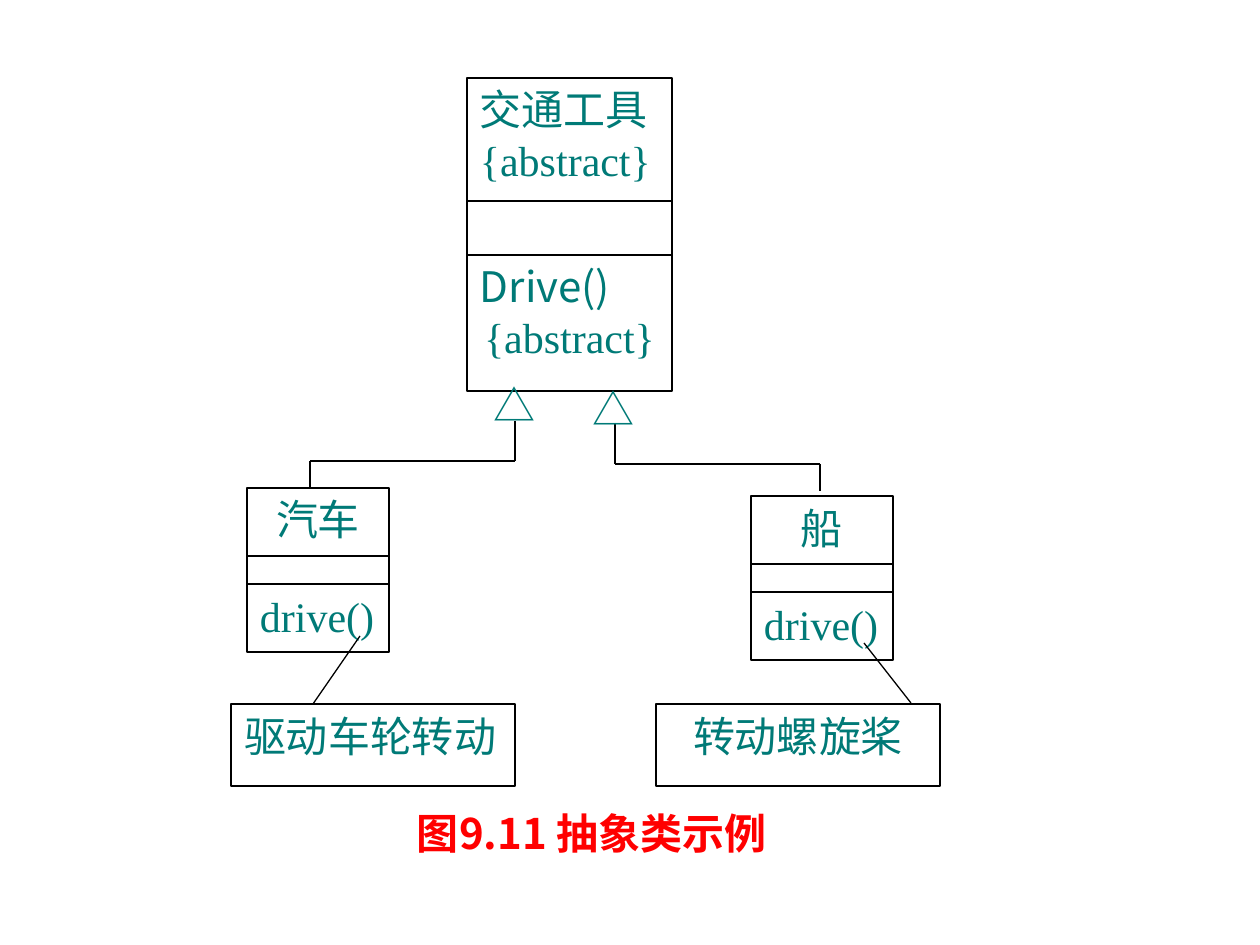
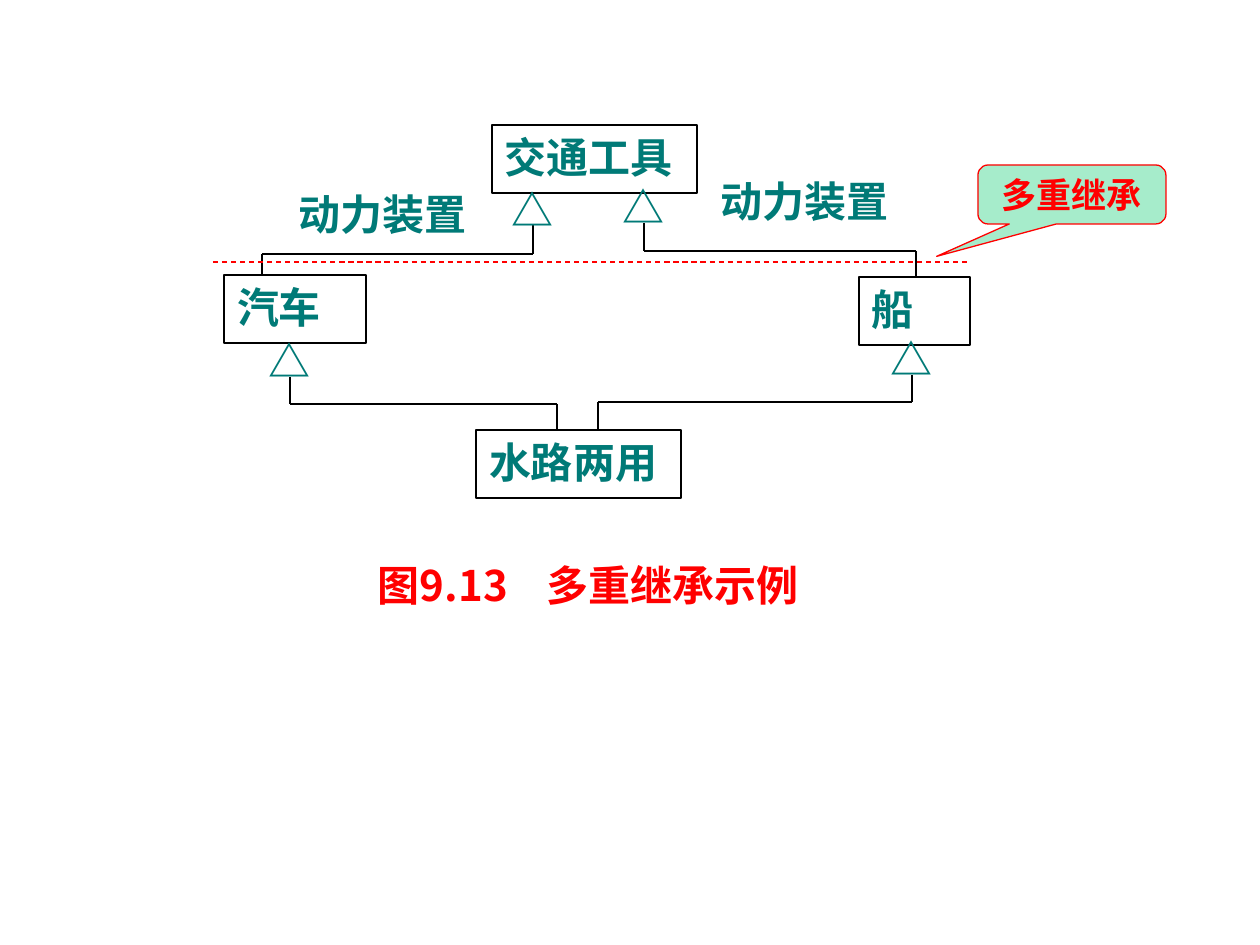
from lxml import etree
from pptx import Presentation
from pptx import util as u
from pptx.dml.color import RGBColor
from pptx.enum import dml, shapes, text
from pptx.oxml.ns import qn

# ---- Shared style ----
PX = 914400 / 126
TEAL, RED, BLACK, WHITE, MINT = "007A77", "FF0000", "000000", "FFFFFF", "A6ECCB"
HAN, SERIF, SANS = "Noto Sans CJK SC", "Times New Roman", "Arial"
JUST, MID = text.PP_ALIGN.JUSTIFY, text.PP_ALIGN.CENTER
INSET = (13, 6)

# ---- Content: lengths in px; a line of text is (wording, font, alignment) ----
# Class boxes: left, top, width, compartments as (height, lines)
# Links: x and y under the triangle, y of the bend, x and y at the subclass
ABSTRACT_CLASS = {
    "bold": False,
    "classes": [
        (467, 78, 205, [
            (123, [("交通工具", HAN, JUST), ("{abstract}", SERIF, JUST)]),
            (54, []),
            (136, [("Drive()", HAN, JUST), ("{abstract}", SERIF, MID)])]),
        (247, 488, 142, [
            (68, [("汽车", HAN, MID)]), (28, []), (68, [("drive()", SERIF, JUST)])]),
        (751, 496, 142, [
            (68, [("船", HAN, MID)]), (28, []), (68, [("drive()", SERIF, JUST)])]),
        (231, 704, 284, [(82, [("驱动车轮转动", HAN, JUST)])]),
        (656, 704, 284, [(82, [("转动螺旋桨", HAN, MID)])]),
    ],
    "links": [(515, 421, 461, 310, 487), (615, 423, 464, 820, 491)],
    "triangles": [(494, 379), (593, 383)],
    "note_lines": [(360, 636, 313, 704), (864, 643, 911, 703)],
    "labels": [],
    "caption": ("图9.11 抽象类示例", 404, 801, 410),
}
MULTIPLE_INHERITANCE = {
    "bold": True,
    "classes": [
        (492, 125, 205, [(68, [("交通工具", HAN, JUST)])]),
        (224, 275, 142, [(68, [("汽车", HAN, JUST)])]),
        (859, 277, 111, [(68, [("船", HAN, JUST)])]),
        (476, 430, 205, [(68, [("水路两用", HAN, JUST)])]),
    ],
    "links": [(533, 225, 254, 262, 275), (644, 223, 251, 916, 277),
              (290, 377, 404, 557, 430), (912, 375, 402, 598, 430)],
    "triangles": [(512, 184), (622, 181), (268, 335), (891, 333)],
    "note_lines": [],
    "labels": [("动力装置", 299, 188), ("动力装置", 721, 175)],
    "caption": ("图9.13\t多重继承示例", 365, 553, 504),
}
CAPTION_TAB = 169
DIVIDER = (213, 262, 969, 262)
CALLOUT = ("多重继承", 978, 165, 188, 59)
CALLOUT_TAIL = (-0.72, 1.05, 0.17)


def px(*lengths):
    return [u.Emu(round(n * PX)) for n in lengths]


def color(hex_string):
    return RGBColor.from_string(hex_string)


def write(shape, lines, ink=TEAL, size=24, bold=False, inset=INSET,
          anchor=text.MSO_ANCHOR.TOP):
    frame = shape.text_frame
    frame.word_wrap = True
    frame.vertical_anchor = anchor
    frame.margin_left, frame.margin_top = px(*inset)
    frame.margin_right, frame.margin_bottom = px(*inset)
    for i, (wording, font, align) in enumerate(lines):
        line = frame.add_paragraph() if i else frame.paragraphs[0]
        line.text, line.alignment = wording, align
        line.font.name, line.font.size, line.font.bold = font, u.Pt(size), bold
        line.font.color.rgb = color(ink)
        # East Asian typeface
        latin = line._p.pPr.find(qn("a:defRPr")).find(qn("a:latin"))
        east_asian = etree.Element(qn("a:ea"), typeface=HAN)
        latin.addnext(east_asian)


def outlined(slide, kind, box, fill=WHITE, edge=BLACK):
    shape = slide.shapes.add_shape(kind, *px(*box))
    shape.shadow.inherit = False
    shape.fill.solid()
    shape.fill.fore_color.rgb = color(fill)
    shape.line.color.rgb = color(edge)
    shape.line.width = u.Pt(0.75)
    return shape


def label(slide, wording, box, **style):
    shape = slide.shapes.add_textbox(*px(*box))
    write(shape, [(wording, HAN, JUST)], **style)
    return shape


def segment(slide, ends, ink=BLACK):
    line = slide.shapes.add_connector(shapes.MSO_CONNECTOR.STRAIGHT, *px(*ends))
    line.line.color.rgb = color(ink)
    line.line.width = u.Pt(0.75)
    etree.SubElement(line._element.spPr, qn("a:effectLst"))
    return line


def class_box(slide, left, top, width, compartments, bold):
    for height, lines in compartments:
        part = outlined(slide, shapes.MSO_SHAPE.RECTANGLE, (left, top, width, height))
        write(part, lines, bold=bold)
        top += height


def add_caption(slide, wording, left, top, width):
    caption = label(slide, wording, (left, top, width, 68), ink=RED, bold=True)
    if "\t" in wording:
        props = caption.text_frame.paragraphs[0]._p.pPr
        stops = etree.Element(qn("a:tabLst"))
        etree.SubElement(stops, qn("a:tab"), pos=str(px(CAPTION_TAB)[0]), algn="l")
        props.find(qn("a:defRPr")).addprevious(stops)


def draw_diagram(deck, diagram):
    slide = deck.slides.add_slide(deck.slide_layouts[6])
    bold = diagram["bold"]
    for box in diagram["classes"]:
        class_box(slide, *box, bold)
    for x1, y1, bend, x2, y2 in diagram["links"]:
        corners = [(x1, y1), (x1, bend), (x2, bend), (x2, y2)]
        for start, end in zip(corners, corners[1:]):
            segment(slide, start + end)
    for left, top in diagram["triangles"]:
        label(slide, "△", (left, top, 47, 55), bold=bold, inset=(0, 0))
    for ends in diagram["note_lines"]:
        segment(slide, ends)
    for wording, left, top in diagram["labels"]:
        label(slide, wording, (left, top, 189, 54), bold=bold, inset=(0, 0))
    add_caption(slide, *diagram["caption"])
    return slide


def main():
    deck = Presentation()
    deck.slide_width, deck.slide_height = px(1260, 945)
    draw_diagram(deck, ABSTRACT_CLASS)
    inheritance = draw_diagram(deck, MULTIPLE_INHERITANCE)

    # Dashed divider and callout
    divider = segment(inheritance, DIVIDER, RED)
    divider.line.dash_style = dml.MSO_LINE.DASH
    wording, *box = CALLOUT
    callout = outlined(inheritance, shapes.MSO_SHAPE.ROUNDED_RECTANGULAR_CALLOUT,
                       box, MINT, RED)
    for i, value in enumerate(CALLOUT_TAIL):
        callout.adjustments[i] = value
    write(callout, [(wording, SANS, MID)], ink=RED, size=20, bold=True,
          anchor=text.MSO_ANCHOR.MIDDLE)
    deck.save("out.pptx")


if __name__ == "__main__":
    main()
